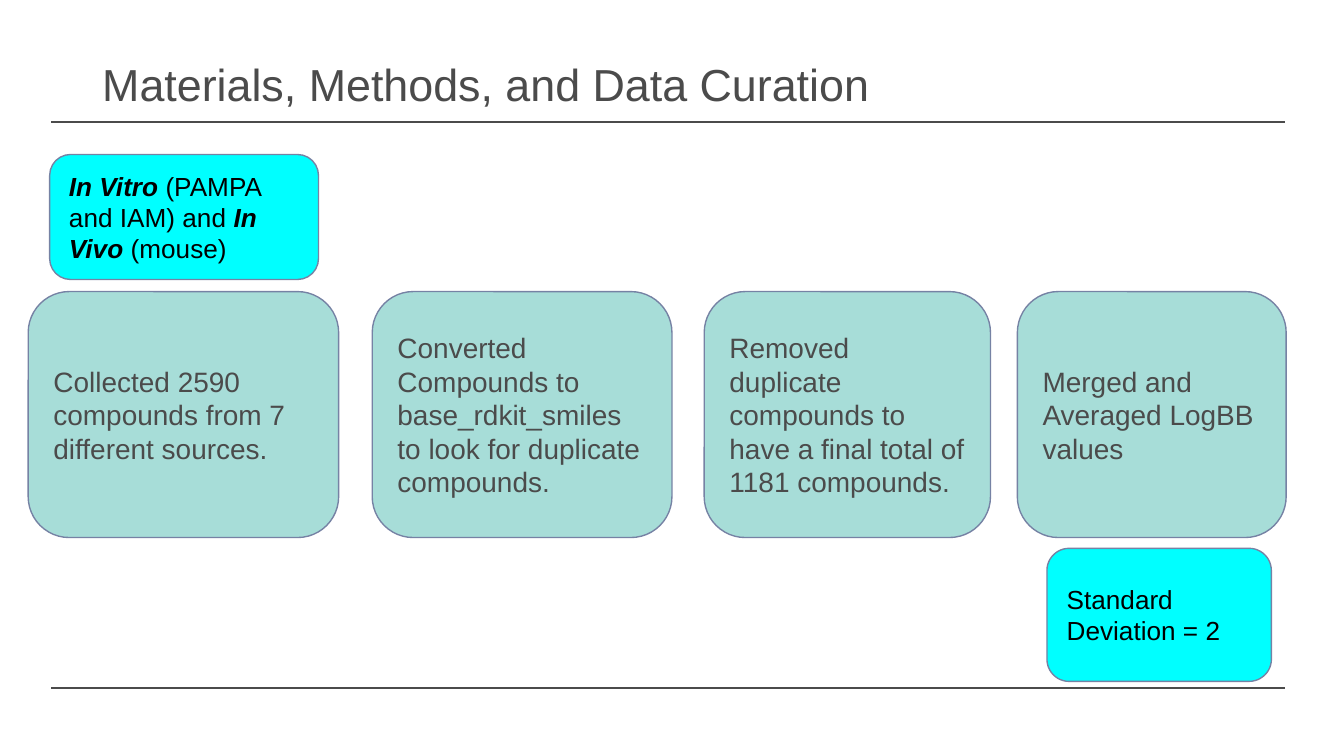
from lxml import etree
from pptx import Presentation
from pptx.dml.color import RGBColor
from pptx.enum.shapes import MSO_CONNECTOR, MSO_SHAPE
from pptx.enum.text import MSO_ANCHOR, PP_ALIGN
from pptx.oxml.ns import qn
from pptx.util import Inches, Pt

GRAY = RGBColor(0x4B, 0x4B, 0x4B)
BLACK = RGBColor(0, 0, 0)
TEAL = RGBColor(0xA7, 0xDD, 0xD8)
CYAN = RGBColor(0, 0xFF, 0xFF)
BORDER = RGBColor(0x76, 0x82, 0xA4)

prs = Presentation()
prs.slide_width = Inches(10)
prs.slide_height = Inches(10 * 9 / 16)
s = prs.slides.add_slide(prs.slide_layouts[6])


def set_font(p, size, color):
    p.font.name = "Arial"
    p.font.size = Pt(size)
    p.font.color.rgb = color


def add_card(left, top, width, height, fill, size, color, runs):
    sp = s.shapes.add_shape(MSO_SHAPE.ROUNDED_RECTANGLE, Inches(left),
                            Inches(top), Inches(width), Inches(height))
    sp.shadow.inherit = False
    sp.fill.solid()
    sp.fill.fore_color.rgb = fill
    sp.line.color.rgb = BORDER
    sp.line.width = Pt(0.75)
    tf = sp.text_frame
    tf.word_wrap = True
    tf.vertical_anchor = MSO_ANCHOR.MIDDLE
    tf.margin_left = tf.margin_right = Inches(0.1)
    tf.margin_top = tf.margin_bottom = Inches(0.1)
    p = tf.paragraphs[0]
    p.alignment = PP_ALIGN.LEFT
    set_font(p, size, color)
    for text, emphasis in runs:
        r = p.add_run()
        r.text = text
        if emphasis:
            r.font.bold = r.font.italic = True


for y in (5.12, 0.91):
    rule = s.shapes.add_connector(MSO_CONNECTOR.STRAIGHT, Inches(0.38),
                                  Inches(y), Inches(9.56), Inches(y))
    rule.line.color.rgb = GRAY
    rule.line.width = Pt(1.3)
    etree.SubElement(rule._element.spPr, qn("a:effectLst"))

title = s.shapes.add_textbox(Inches(0.69), Inches(0.42), Inches(8.62), Inches(0.46))
tf = title.text_frame
tf.word_wrap = True
tf.vertical_anchor = MSO_ANCHOR.MIDDLE
tf.margin_left = tf.margin_right = Inches(0.07)
tf.margin_top = tf.margin_bottom = Inches(0.04)
p = tf.paragraphs[0]
p.text = "Materials, Methods, and Data Curation"
p.line_spacing = 0.9
set_font(p, 24, GRAY)

steps = [
    (0.21, 2.31, "Collected 2590 compounds from 7 different sources."),
    (2.77, 2.23, "Converted Compounds to base_rdkit_smiles to look for duplicate compounds."),
    (5.24, 2.13, "Removed duplicate compounds to have a final total of 1181 compounds."),
    (7.57, 2, "Merged and Averaged LogBB values"),
]
for left, width, text in steps:
    add_card(left, 2.17, width, 1.83, TEAL, 15, GRAY, [(text, False)])

add_card(0.37, 1.15, 2, 0.93, CYAN, 14, BLACK,
         [("In Vitro ", True), ("(PAMPA and IAM) and ", False),
          ("In Vivo ", True), ("(mouse)", False)])
add_card(7.79, 4.08, 1.67, 0.99, CYAN, 14, BLACK,
         [("Standard Deviation = 2", False)])

prs.save("out.pptx")
